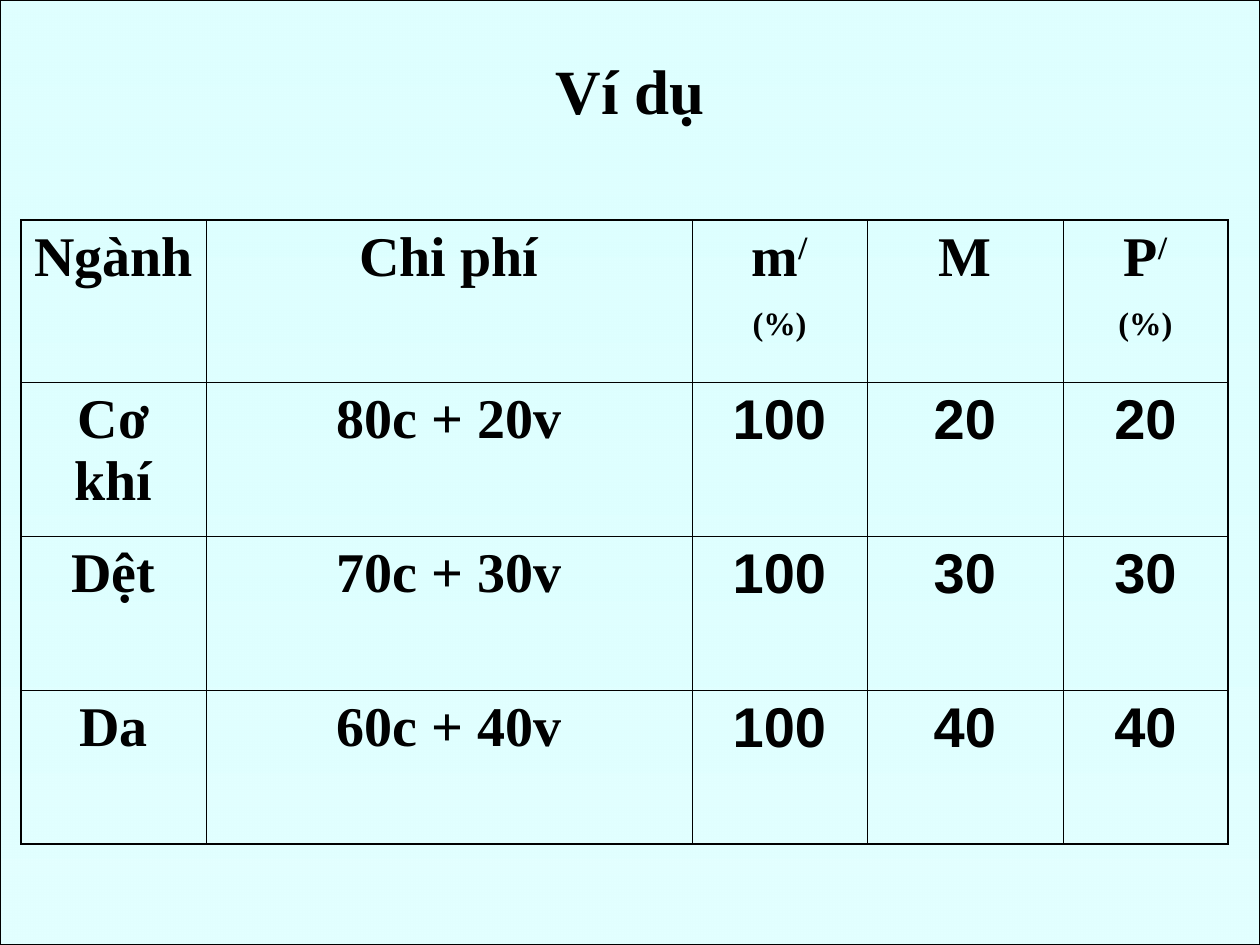
from lxml import etree
from pptx import Presentation
from pptx import util as u
from pptx.dml.color import RGBColor
from pptx.enum import shapes, text
from pptx.oxml import ns

PX = 914400 / 126
SERIF, SANS = "Times New Roman", "Arial"
BLACK = "000000"
THIN, THICK = 0.45, 1.08


def px(n):
    return u.Emu(round(n * PX))


def rgb(code):
    return RGBColor.from_string(code)


deck = Presentation()
deck.slide_width, deck.slide_height = px(1260), px(945)
slide = deck.slides.add_slide(deck.slide_layouts[5])

# Backdrop, sent behind the title
back = slide.shapes.add_shape(
    shapes.MSO_SHAPE.RECTANGLE, 0, 0, px(1260), px(945))
back.shadow.inherit = False
back.fill.gradient()
back.fill.gradient_angle = 270
for stop, code in zip(back.fill.gradient_stops, ("CCFFFF", "E2FFFF")):
    stop.color.rgb = rgb(code)
first = back.element.find(".//" + ns.qn("a:srgbClr"))
etree.SubElement(first, ns.qn("a:alpha"), val="61000")
back.line.color.rgb = rgb(BLACK)
back.line.width = u.Pt(0.75)
slide.shapes._spTree.insert(2, back.element)

# Title
title = slide.shapes.title
title.left, title.top, title.width, title.height = map(px, (63, 38, 1134, 157))
frame = title.text_frame
frame.text = "Ví dụ"
frame.vertical_anchor = text.MSO_ANCHOR.TOP
frame.margin_top = px(14)
para = frame.paragraphs[0]
para.alignment = text.PP_ALIGN.CENTER
font = para.runs[0].font
font.name, font.size, font.bold = SERIF, u.Pt(36), True
font.color.rgb = rgb(BLACK)

# Table: "^" marks where the raised text of a paragraph starts
rows = [
    ["Ngành", "Chi phí", "m^/\n^(%)", "M", "P^/\n^(%)"],
    ["Cơ khí", "80c + 20v", "100", "20", "20"],
    ["Dệt", "70c + 30v", "100", "30", "30"],
    ["Da", "60c + 40v", "100", "40", "40"],
]
wide = [185, 486, 175, 196, 165]
high = [162, 154, 154, 154]
grid = slide.shapes.add_table(
    len(rows), len(wide), px(21), px(220), px(sum(wide)), px(sum(high))).table
grid.first_row = grid.horz_banding = False
for col, size in zip(grid.columns, wide):
    col.width = px(size)
for row, size in zip(grid.rows, high):
    row.height = px(size)

for r, row in enumerate(rows):
    for c, words in enumerate(row):
        cell = grid.cell(r, c)
        cell.fill.background()
        edges = {"lnL": c == 0, "lnR": c == len(wide) - 1,
                 "lnT": r == 0, "lnB": r == len(rows) - 1}
        props = cell._tc.get_or_add_tcPr()
        for i, (tag, outer) in enumerate(edges.items()):
            line = etree.Element(ns.qn("a:" + tag))
            line.set("w", str(u.Pt(THICK if outer else THIN)))
            fill = etree.SubElement(line, ns.qn("a:solidFill"))
            etree.SubElement(fill, ns.qn("a:srgbClr"), val=BLACK)
            props.insert(i, line)

        for i, part in enumerate(words.split("\n")):
            frame = cell.text_frame
            para = frame.add_paragraph() if i else frame.paragraphs[0]
            para.alignment = text.PP_ALIGN.CENTER
            if i:
                para.space_before = u.Pt(8)
            for raised, piece in enumerate(part.split("^")):
                if not piece:
                    continue
                run = para.add_run()
                run.text = piece
                font = run.font
                font.name = SANS if r and c > 1 else SERIF
                font.size, font.bold = u.Pt(32), True
                font.color.rgb = rgb(BLACK)
                if raised:
                    run._r.get_or_add_rPr().set("baseline", "30000")

deck.save("out.pptx")
